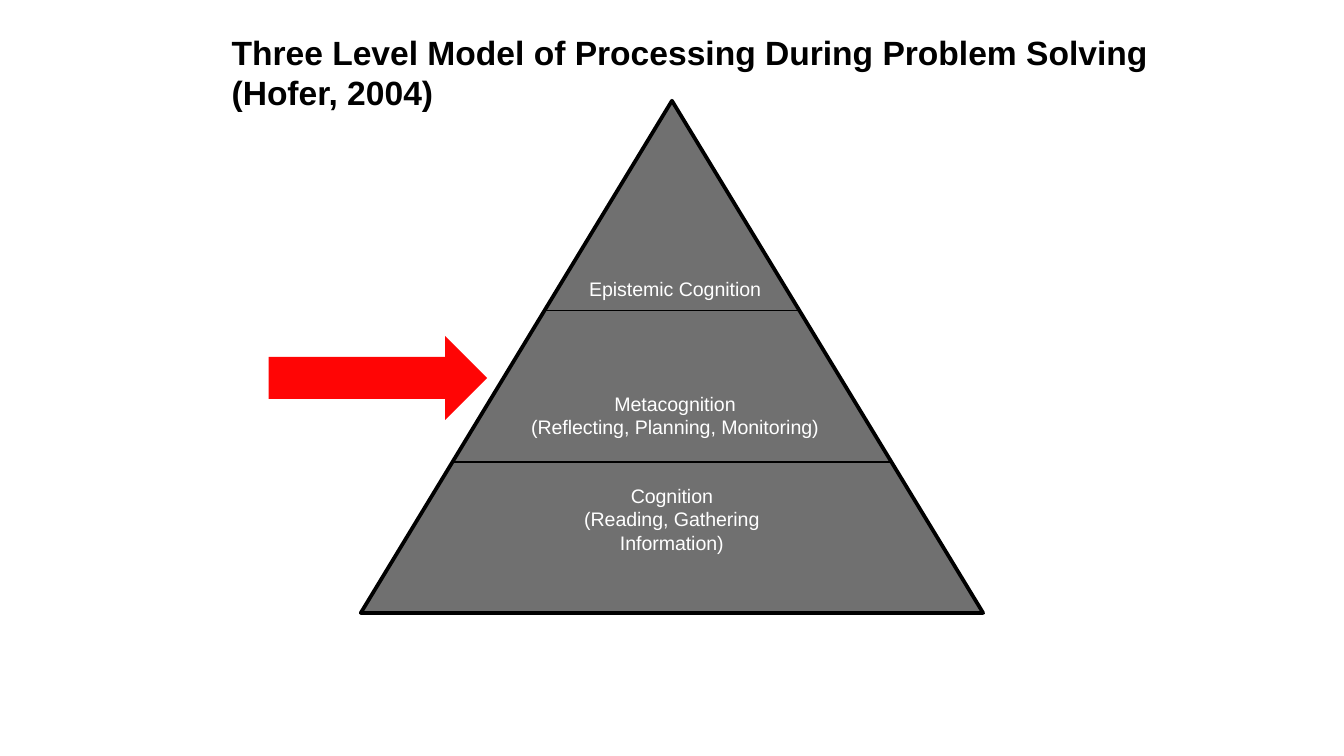
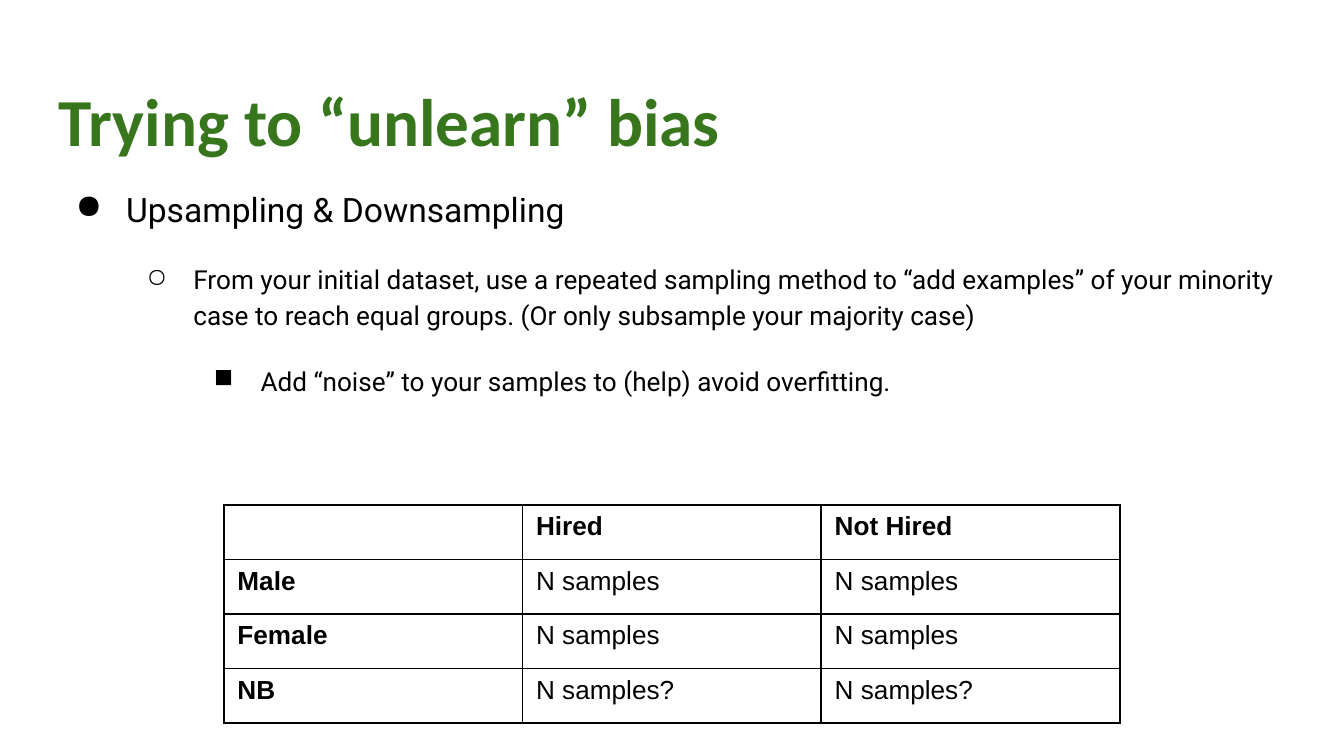
from dataclasses import dataclass

import pptx
import pptx.dml.color
import pptx.enum.shapes
import pptx.enum.text
import pptx.oxml
import pptx.oxml.ns
import pptx.util

Pt = pptx.util.Pt
Shapes = pptx.enum.shapes.MSO_SHAPE
Align = pptx.enum.text.PP_ALIGN
Anchor = pptx.enum.text.MSO_ANCHOR
AutoSize = pptx.enum.text.MSO_AUTO_SIZE


@dataclass(frozen=True)
class Theme:
    black: str = "000000"
    white: str = "FFFFFF"
    red: str = "FF0000"
    green: str = "38761D"
    font: str = "Arial"
    title_font: str = "Calibri"
    body_font: str = "Roboto"
    title_size: float = 36
    heading_size: float = 18
    text_size: float = 14
    label_size: float = 10.5


THEME = Theme()


def rgb(color):
    return pptx.dml.color.RGBColor.from_string(color)


def add_xml(parent, tag, content="", attributes=""):
    namespace = pptx.oxml.ns.nsdecls("a")
    element = pptx.oxml.parse_xml(f"<a:{tag} {namespace} {attributes}>{content}</a:{tag}>")
    parent.append(element)


def solid_fill(color):
    return f'<a:solidFill><a:srgbClr val="{color}"/></a:solidFill>'


def write(paragraph, text, *, size, color=THEME.black, font=THEME.font, bold=False,
          align=None, bullet=None, level=0, indent=0, hanging=0, spacing=None, before=None):
    paragraph.level = level
    if align is not None:
        paragraph.alignment = align
    if spacing is not None:
        paragraph.line_spacing = spacing
    if before is not None:
        paragraph.space_before = Pt(before)
    if bullet:
        properties = paragraph._p.get_or_add_pPr()
        properties.set("marL", str(Pt(indent)))
        properties.set("indent", str(Pt(-hanging)))
        add_xml(properties, "buClr", f'<a:srgbClr val="{color}"/>')
        add_xml(properties, "buChar", attributes=f'char="{bullet}"')
    run = paragraph.add_run()
    run.text = text
    run.font.name = font
    run.font.size = Pt(size)
    run.font.bold = bold
    run.font.color.rgb = rgb(color)


def write_lines(frame, lines, **style):
    for index, line in enumerate(lines):
        paragraph = frame.add_paragraph() if index else frame.paragraphs[0]
        write(paragraph, line, **style)


class Deck:
    def __init__(self, theme, width, height):
        self.theme = theme
        self.presentation = pptx.Presentation()
        self.presentation.slide_width = Pt(width)
        self.presentation.slide_height = Pt(height)
        self.slide = None

    def new_slide(self):
        self.slide = self.presentation.slides.add_slide(self.presentation.slide_layouts[6])
        self.slide.background.fill.solid()
        self.slide.background.fill.fore_color.rgb = rgb(self.theme.white)

    def text_box(self, box, lines=(), *, wrap=True, grow=False, inset=None, **style):
        frame = self.slide.shapes.add_textbox(*map(Pt, box)).text_frame
        frame.word_wrap = wrap
        frame.auto_size = AutoSize.SHAPE_TO_FIT_TEXT if grow else AutoSize.NONE
        if inset is not None:
            frame.margin_left = frame.margin_right = Pt(inset)
            frame.margin_top = frame.margin_bottom = Pt(inset)
        write_lines(frame, lines, **style)
        return frame

    def shape(self, kind, box, color, *, opacity, line_width=0):
        shape = self.slide.shapes.add_shape(kind, *map(Pt, box))
        shape.shadow.inherit = False
        shape.fill.solid()
        shape.fill.fore_color.rgb = rgb(color)
        fill_color = shape._element.spPr.find(pptx.oxml.ns.qn("a:solidFill"))[0]
        add_xml(fill_color, "alpha", attributes=f'val="{opacity * 1000}"')
        if line_width:
            shape.line.color.rgb = rgb(self.theme.black)
            shape.line.width = Pt(line_width)
        else:
            shape.line.fill.background()
        return shape

    def line(self, start, end, width):
        connector = self.slide.shapes.add_connector(
            pptx.enum.shapes.MSO_CONNECTOR.STRAIGHT, *map(Pt, start + end))
        connector.line.color.rgb = rgb(self.theme.black)
        connector.line.width = Pt(width)
        add_xml(connector._element.spPr, "effectLst")

    def label(self, box, lines):
        self.text_box(box, lines, wrap=False, grow=True, size=self.theme.label_size,
                      color=self.theme.white, align=Align.CENTER)

    def bullets(self, box, items):
        frame = self.text_box(box, inset=7.2)
        for level, (mark, text, size, hanging) in enumerate(items):
            paragraph = frame.add_paragraph() if level else frame.paragraphs[0]
            write(paragraph, text, size=size, font=self.theme.body_font, bullet=mark,
                  level=level, indent=36 * (level + 1), hanging=hanging,
                  spacing=1.15, before=16 if level else None)

    def table(self, box, rows):
        table = self.slide.shapes.add_table(len(rows), len(rows[0]), *map(Pt, box)).table
        table.first_row = table.horz_banding = False
        for row_index, row in enumerate(rows):
            for column_index, text in enumerate(row):
                cell = table.cell(row_index, column_index)
                properties = cell._tc.get_or_add_tcPr()
                for side in ("lnL", "lnR", "lnT", "lnB"):
                    add_xml(properties, side, solid_fill(self.theme.black), f'w="{Pt(1)}"')
                cell.fill.background()
                if text:
                    write(cell.text_frame.paragraphs[0], text, size=self.theme.text_size,
                          bold=row_index == 0 or column_index == 0)


def build_model_slide(deck):
    deck.new_slide()
    deck.text_box((117, 13.5, 513, 51),
                  ["Three Level Model of Processing During Problem Solving (Hofer, 2004)"],
                  grow=True, size=THEME.heading_size, bold=True)

    left, top, width, height = pyramid_box = (193.3, 54, 333.4, 274.4)
    pyramid = deck.shape(Shapes.ISOSCELES_TRIANGLE, pyramid_box, THEME.black,
                         opacity=56, line_width=2)
    frame = pyramid.text_frame
    frame.word_wrap = True
    frame.vertical_anchor = Anchor.MIDDLE
    frame.margin_top = Pt(40)
    write_lines(frame, ["Cognition", "(Reading, Gathering Information)"],
                size=THEME.label_size, color=THEME.white, align=Align.CENTER)

    center = left + width / 2
    for level_y in (166.2, 247.5):
        reach = (level_y - top) / height * width / 2
        deck.line((center - reach, level_y), (center + reach, level_y), 0.75)

    deck.label((307.5, 144.6, 108.5, 20), ["Epistemic Cognition"])
    deck.label((275.7, 206.4, 172, 32.5),
               ["Metacognition", "(Reflecting, Planning, Monitoring)"])
    deck.shape(Shapes.RIGHT_ARROW, (144, 180, 117, 45), THEME.red, opacity=98)


def build_bias_slide(deck):
    deck.new_slide()
    deck.text_box((24.5, 35.5, 671, 45), ["Trying to “unlearn” bias"], inset=7.2,
                  size=THEME.title_size, font=THEME.title_font, color=THEME.green, bold=True)
    deck.bullets((24.5, 90.7, 671, 314), [
        ("●", "Upsampling & Downsampling", THEME.heading_size, 27),
        ("○", "From your initial dataset, use a repeated sampling method to “add examples” "
              "of your minority case to reach equal groups. (Or only subsample your "
              "majority case)", THEME.text_size, 25),
        ("■", "Add “noise” to your samples to (help) avoid overfitting.",
         THEME.text_size, 25),
    ])
    deck.table((120, 270.6, 480, 116.8), [
        ("", "Hired", "Not Hired"),
        ("Male", "N samples", "N samples"),
        ("Female", "N samples", "N samples"),
        ("NB", "N samples?", "N samples?"),
    ])


def main():
    deck = Deck(THEME, 720, 405)
    build_model_slide(deck)
    build_bias_slide(deck)
    deck.presentation.save("out.pptx")


if __name__ == "__main__":
    main()
